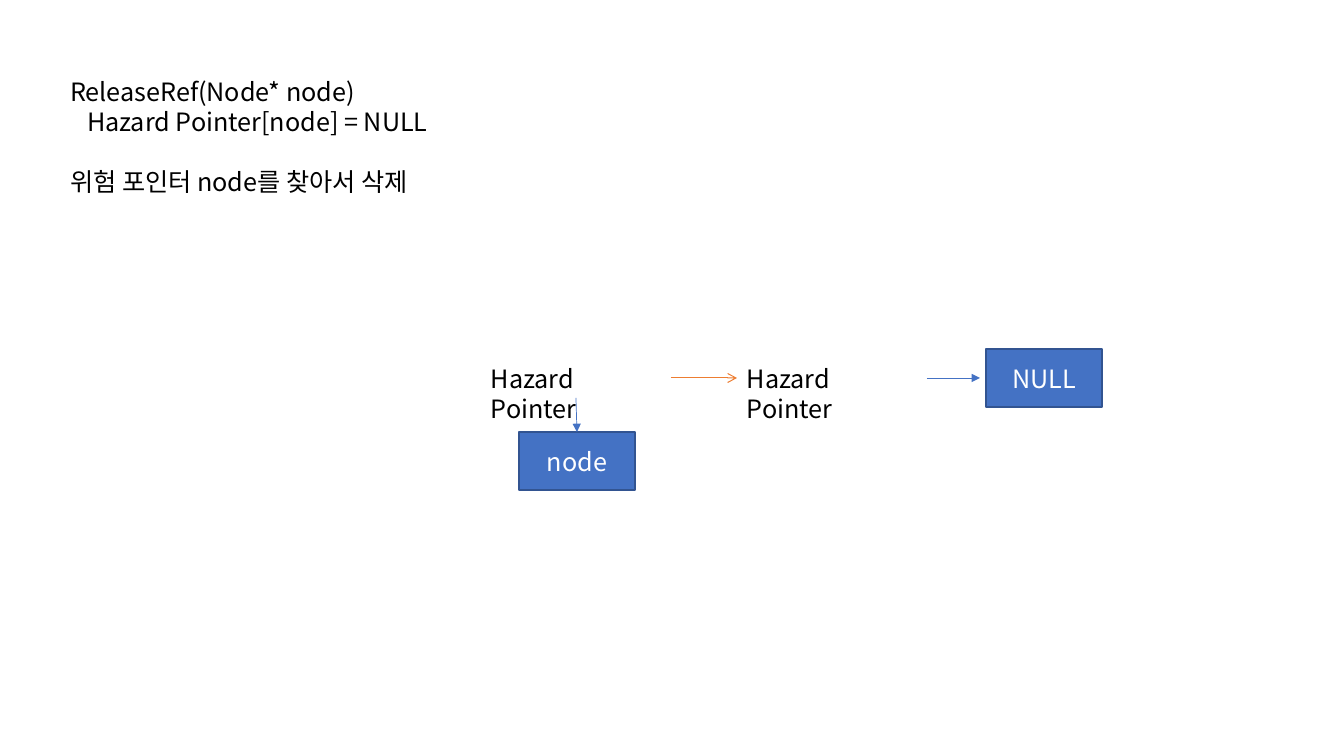
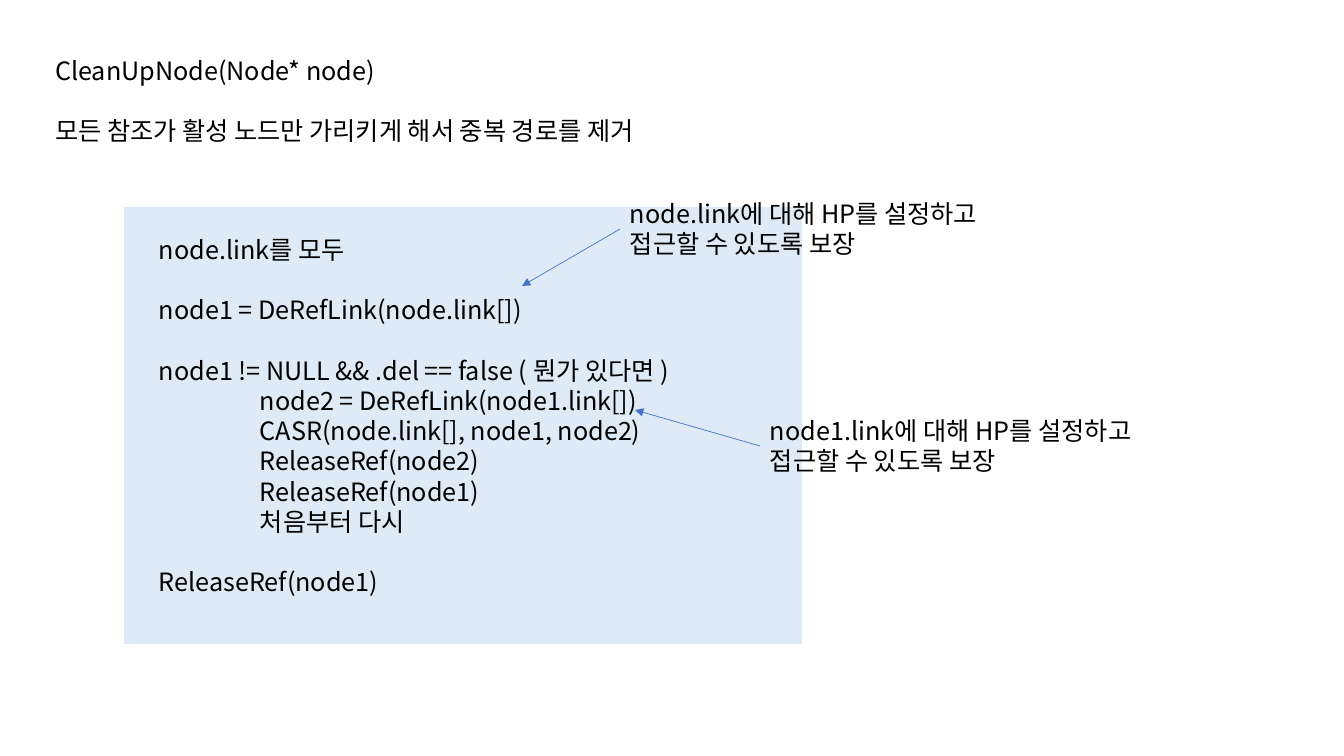
from dataclasses import dataclass

from lxml import etree
from pptx import Presentation
from pptx import util as u
from pptx.dml.color import RGBColor
from pptx.enum import shapes, text
from pptx.oxml import ns

PX = 9071


@dataclass(frozen=True)
class Theme:
    font: str = "Noto Sans CJK KR"
    size: float = 18
    line_height: float = 21.6
    tab: int = 101
    ink: RGBColor = RGBColor.from_string("000000")
    white: RGBColor = RGBColor.from_string("FFFFFF")
    blue: RGBColor = RGBColor.from_string("4472C4")
    outline: RGBColor = RGBColor.from_string("325491")
    orange: RGBColor = RGBColor.from_string("ED7D31")
    panel: RGBColor = RGBColor.from_string("DEEBF7")


theme = Theme()


def write_text(shape, blocks, color=theme.ink, align=text.PP_ALIGN.LEFT, anchor=text.MSO_ANCHOR.TOP):
    frame = shape.text_frame
    frame.word_wrap = True
    frame.auto_size = text.MSO_AUTO_SIZE.NONE
    frame.vertical_anchor = anchor
    paragraph = None
    for block in blocks:
        for index, line in enumerate(block):
            starts_block = paragraph is not None and index == 0
            paragraph = frame.paragraphs[0] if paragraph is None else frame.add_paragraph()
            paragraph.alignment = align
            paragraph.line_spacing = u.Pt(theme.line_height)
            paragraph.space_before = u.Pt(theme.line_height if starts_block else 0)
            if line.startswith("\t"):
                properties = paragraph._p.get_or_add_pPr()
                properties.set("marL", str(theme.tab * PX))
                properties.set("indent", "0")
            run = paragraph.add_run()
            run.text = line.lstrip("\t")
            run.font.name = theme.font
            run.font.size = u.Pt(theme.size)
            run.font.color.rgb = color
            east_asian = etree.SubElement(run._r.get_or_add_rPr(), ns.qn("a:ea"))
            east_asian.set("typeface", theme.font)


def add_arrow(slide, start, end, begin_site, end_site=None, color=theme.blue, width=0.5, head="triangle"):
    points = [value * PX for value in (*start, *end)]
    arrow = slide.shapes.add_connector(shapes.MSO_CONNECTOR.STRAIGHT, *points)
    arrow.begin_connect(*begin_site)
    if end_site:
        arrow.end_connect(*end_site)
    arrow.line.color.rgb = color
    arrow.line.width = u.Pt(width)
    etree.SubElement(arrow.line._get_or_add_ln(), ns.qn("a:tailEnd")).set("type", head)
    etree.SubElement(arrow._element.spPr, ns.qn("a:effectLst"))


presentation = Presentation()
presentation.slide_width = 1344 * PX
presentation.slide_height = 756 * PX

headings = [
    ((60, 71, 395, 132), [
        ["ReleaseRef(Node* node)", "   Hazard Pointer[node] = NULL"],
        ["위험 포인터 node를 찾아서 삭제"],
    ]),
    ((45, 50, 677, 102), [
        ["CleanUpNode(Node* node)"],
        ["모든 참조가 활성 노드만 가리키게 해서 중복 경로를 제거"],
    ]),
]
slides = []
for box, blocks in headings:
    slide = presentation.slides.add_slide(presentation.slide_layouts[5])
    title = slide.shapes.title
    title.left, title.top, title.width, title.height = [value * PX for value in box]
    write_text(title, blocks)
    slides.append(slide)
release_slide, cleanup_slide = slides

pointers = []
for left in (481, 737):
    pointer = release_slide.shapes.add_textbox(left * PX, 358 * PX, 190 * PX, 40 * PX)
    write_text(pointer, [["Hazard Pointer"]])
    pointers.append(pointer)

nodes = []
for label, left, top in (("node", 519, 432), ("NULL", 986, 349)):
    node = release_slide.shapes.add_shape(
        shapes.MSO_SHAPE.RECTANGLE, left * PX, top * PX, 116 * PX, 58 * PX)
    node.shadow.inherit = False
    node.fill.solid()
    node.fill.fore_color.rgb = theme.blue
    node.line.color.rgb = theme.outline
    node.line.width = u.Pt(1)
    write_text(node, [[label]], theme.white, text.PP_ALIGN.CENTER, text.MSO_ANCHOR.MIDDLE)
    nodes.append(node)

add_arrow(release_slide, (576, 398), (577, 432), (pointers[0], 2), (nodes[0], 0))
add_arrow(release_slide, (671, 378), (737, 378), (pointers[0], 3), (pointers[1], 1),
          theme.orange, 0.75, "arrow")
add_arrow(release_slide, (927, 378), (980, 378), (pointers[1], 3))

panel = cleanup_slide.shapes.add_shape(
    shapes.MSO_SHAPE.RECTANGLE, 124 * PX, 207 * PX, 678 * PX, 437 * PX)
panel.shadow.inherit = False
panel.fill.solid()
panel.fill.fore_color.rgb = theme.panel
panel.line.fill.background()

code = cleanup_slide.shapes.add_textbox(149 * PX, 229 * PX, 584 * PX, 377 * PX)
write_text(code, [
    ["node.link를 모두"],
    ["node1 = DeRefLink(node.link[])"],
    [
        "node1 != NULL && .del == false ( 뭔가 있다면 )",
        "\tnode2 = DeRefLink(node1.link[])",
        "\tCASR(node.link[], node1, node2)",
        "\tReleaseRef(node2)",
        "\tReleaseRef(node1)",
        "\t처음부터 다시",
    ],
    ["ReleaseRef(node1)"],
])

callouts = [
    ("node.link에 대해 HP를 설정하고 접근할 수 있도록 보장", 620, 193, 398, (522, 286)),
    ("node1.link에 대해 HP를 설정하고 접근할 수 있도록 보장", 760, 410, 412, (635, 410)),
]
for note, left, top, width, target in callouts:
    callout = cleanup_slide.shapes.add_textbox(left * PX, top * PX, width * PX, 72 * PX)
    write_text(callout, [[note]])
    add_arrow(cleanup_slide, (left, top + 36), target, (callout, 1))

presentation.save("out.pptx")
